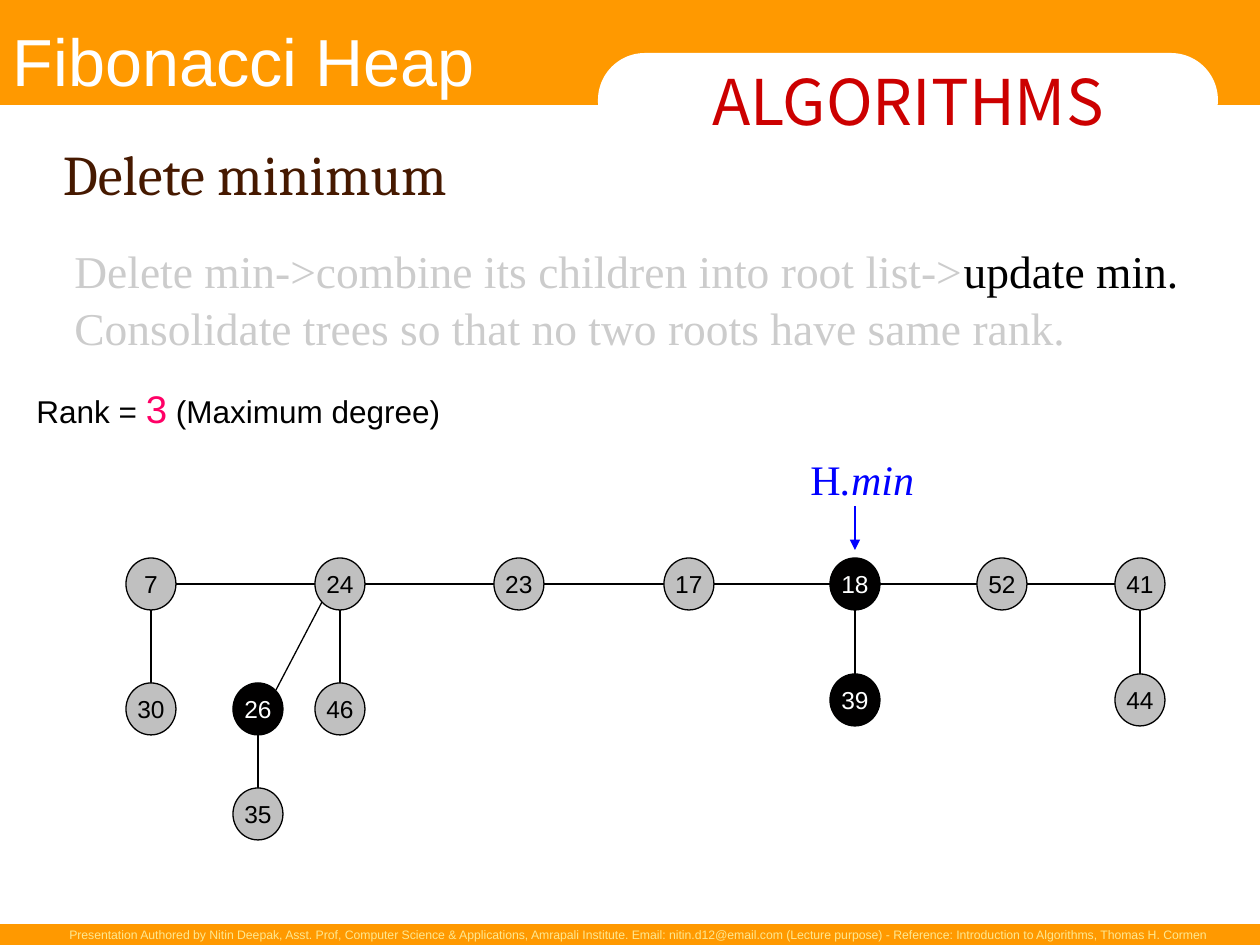
from itertools import pairwise

from lxml import etree
from pptx import Presentation
from pptx.dml.color import RGBColor
from pptx.enum.shapes import MSO_CONNECTOR, MSO_SHAPE
from pptx.enum.text import MSO_ANCHOR, PP_ALIGN
from pptx.oxml.ns import qn
from pptx.util import Emu, Pt

ORANGE = RGBColor(0xFF, 0x99, 0x00)
WHITE = RGBColor(0xFF, 0xFF, 0xFF)
BLACK = RGBColor(0x00, 0x00, 0x00)
MARKED = RGBColor(0x01, 0x00, 0x00)
GRAY = RGBColor(0xC0, 0xC0, 0xC0)
FADED = RGBColor(0xCC, 0xCC, 0xCC)
RED = RGBColor(0xCC, 0x00, 0x00)
PINK = RGBColor(0xFF, 0x00, 0x66)
BLUE = RGBColor(0x00, 0x00, 0xFF)
BROWN = RGBColor(0x46, 0x19, 0x00)
CREAM = RGBColor(0xFD, 0xE8, 0x91)

NODE_W, NODE_H = 50, 52
ROOT_Y = 558
ROOTS = {"7": 126, "24": 315, "23": 494, "17": 664, "18": 830, "52": 977, "41": 1115}
CHILDREN = [
    ("30", 126, 683, ROOT_Y),
    ("46", 315, 683, ROOT_Y),
    ("39", 830, 674, ROOT_Y),
    ("44", 1115, 674, ROOT_Y),
    ("35", 233, 788, 683),
]
MARKED_KEYS = {"18", "26", "39"}
FOOTER = (
    "Presentation Authored by Nitin Deepak, Asst. Prof, Computer Science & Applications, "
    "Amrapali Institute. Email: nitin.d12@email.com (Lecture purpose) - "
    "Reference: Introduction to Algorithms, Thomas H. Cormen"
)


def px(n):
    return Emu(round(n * 914400 / 126))


class SlideBuilder:
    def __init__(self, slide, font="Arial"):
        self.slide = slide
        self.font = font

    def style(self, r, size, color, font=None, italic=None):
        r.font.name = font or self.font
        r.font.size = Pt(size)
        r.font.color.rgb = color
        r.font.italic = italic

    def shape(self, kind, x, y, w, h, fill, line=None):
        sp = self.slide.shapes.add_shape(kind, px(x), px(y), px(w), px(h))
        sp.shadow.inherit = False
        sp.fill.solid()
        sp.fill.fore_color.rgb = fill
        if line is None:
            sp.line.fill.background()
        else:
            sp.line.color.rgb = line
            sp.line.width = Pt(0.75)
        return sp

    def label(self, sp, text, size, color, font=None):
        tf = sp.text_frame
        tf.text = text
        tf.word_wrap = False
        tf.vertical_anchor = MSO_ANCHOR.MIDDLE
        p = tf.paragraphs[0]
        p.alignment = PP_ALIGN.CENTER
        self.style(p.runs[0], size, color, font)

    def text(self, x, y, w, h, lines, wrap=False, inset=True,
             anchor=MSO_ANCHOR.TOP, align=PP_ALIGN.LEFT, spacing=None):
        box = self.slide.shapes.add_textbox(px(x), px(y), px(w), px(h))
        tf = box.text_frame
        tf.word_wrap = wrap
        tf.vertical_anchor = anchor
        if not inset:
            tf.margin_left = tf.margin_right = tf.margin_top = tf.margin_bottom = 0
        p = tf.paragraphs[0]
        p.alignment = align
        p.line_spacing = spacing
        for i, runs in enumerate(lines):
            if i:
                p.add_line_break()
            for text, *look in runs:
                r = p.add_run()
                r.text = text
                self.style(r, *look)

    def line(self, x1, y1, x2, y2, color=BLACK, arrow=False):
        cx = self.slide.shapes.add_connector(
            MSO_CONNECTOR.STRAIGHT, px(x1), px(y1), px(x2), px(y2))
        cx.line.color.rgb = color
        cx.line.width = Pt(0.75)
        if arrow:
            ln = cx.line._get_or_add_ln()
            etree.SubElement(ln, qn("a:tailEnd"), type="triangle")
        etree.SubElement(cx._element.spPr, qn("a:effectLst"))

    def node(self, key, x, y):
        marked = key in MARKED_KEYS
        sp = self.shape(MSO_SHAPE.OVAL, x, y, NODE_W, NODE_H,
                        MARKED if marked else GRAY, BLACK)
        self.label(sp, key, 14, WHITE if marked else BLACK)


def main():
    prs = Presentation()
    prs.slide_width, prs.slide_height = px(1260), px(945)
    s = SlideBuilder(prs.slides.add_slide(prs.slide_layouts[6]))

    s.shape(MSO_SHAPE.RECTANGLE, 0, 0, 1260, 105, ORANGE)
    tab = s.shape(MSO_SHAPE.ROUNDED_RECTANGLE, 598, 53, 620, 94, WHITE)
    tab.adjustments[0] = 0.5
    s.label(tab, "ALGORITHMS", 36, RED, "Noto Sans CJK KR")
    s.shape(MSO_SHAPE.RECTANGLE, 0, 924, 1260, 21, ORANGE)
    s.text(53, 921, 1166, 28, [[(FOOTER, 7, CREAM)]], align=PP_ALIGN.RIGHT)

    s.text(13, 13, 529, 93, [[("Fibonacci Heap", 38, WHITE)]],
           wrap=True, inset=False, anchor=MSO_ANCHOR.MIDDLE)
    s.text(63, 127, 1133, 93, [[("Delete minimum", 32, BROWN, "Cambria")]],
           wrap=True, inset=False, anchor=MSO_ANCHOR.MIDDLE)

    serif = "Times New Roman"
    s.text(62, 234, 1160, 274, [
        [("Delete min->combine its children into root list->", 26, FADED, serif),
         ("update min.", 26, BLACK, serif)],
        [("Consolidate trees so that no two roots have same rank.", 26, FADED, serif)],
    ], wrap=True, spacing=1.05)
    s.text(24, 379, 446, 58, [
        [("Rank = ", 18, BLACK), ("3", 22, PINK), (" (Maximum degree)", 18, BLACK)]])

    s.text(798, 447, 129, 63, [
        [("H", 24, BLUE, serif), (".min", 24, BLUE, serif, True)]])
    s.line(855, 506, 855, 550, BLUE, arrow=True)

    root_mid = ROOT_Y + NODE_H // 2
    for left, right in pairwise(ROOTS.values()):
        s.line(left + NODE_W, root_mid, right, root_mid)
    s.line(276, 690, 322, 602)
    for key, x, y, parent_y in CHILDREN:
        mid = x + NODE_W // 2
        s.line(mid, y, mid, parent_y + NODE_H)
        s.node(key, x, y)
    s.node("26", 233, 683)
    for key, x in ROOTS.items():
        s.node(key, x, ROOT_Y)

    prs.save("out.pptx")


if __name__ == "__main__":
    main()
